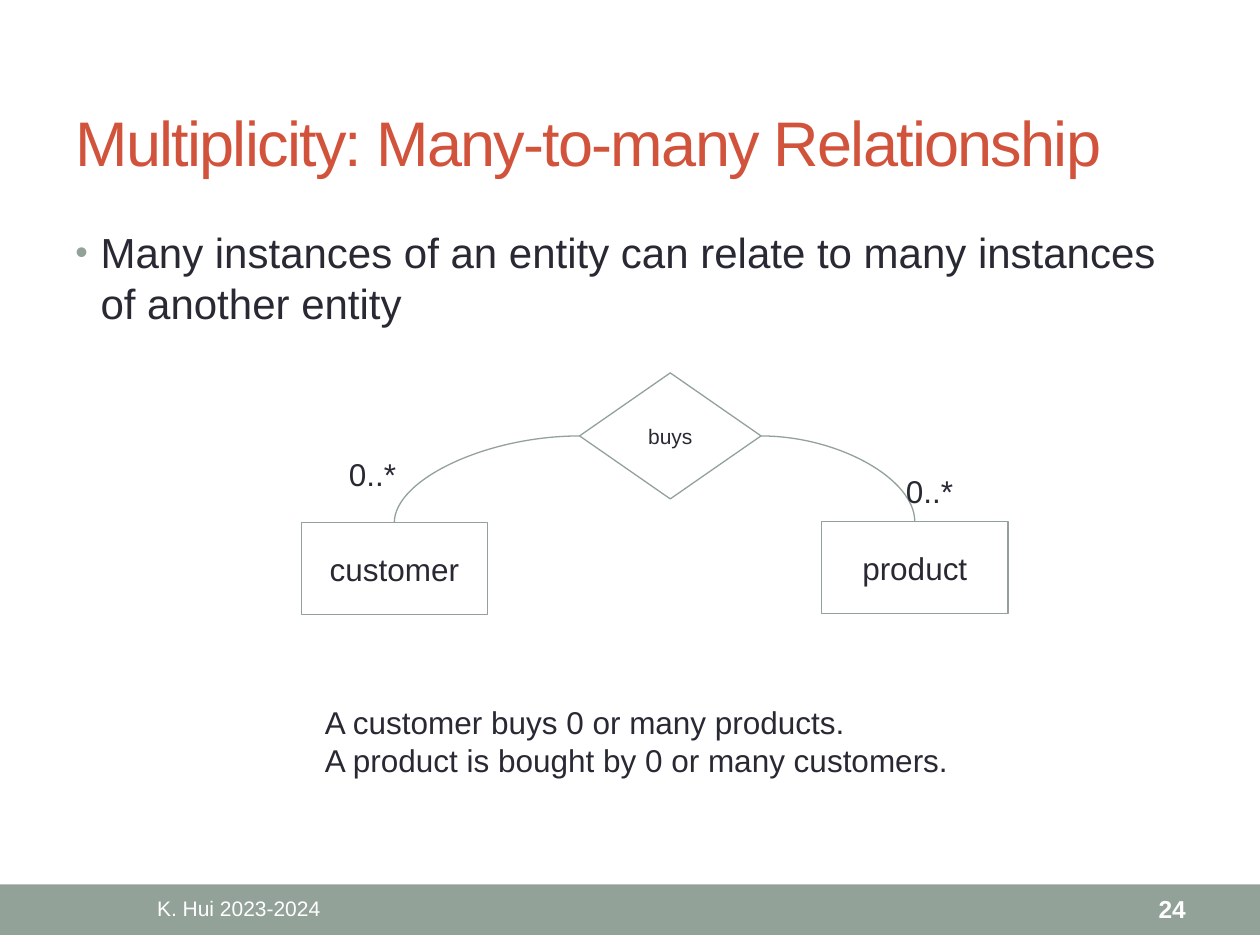
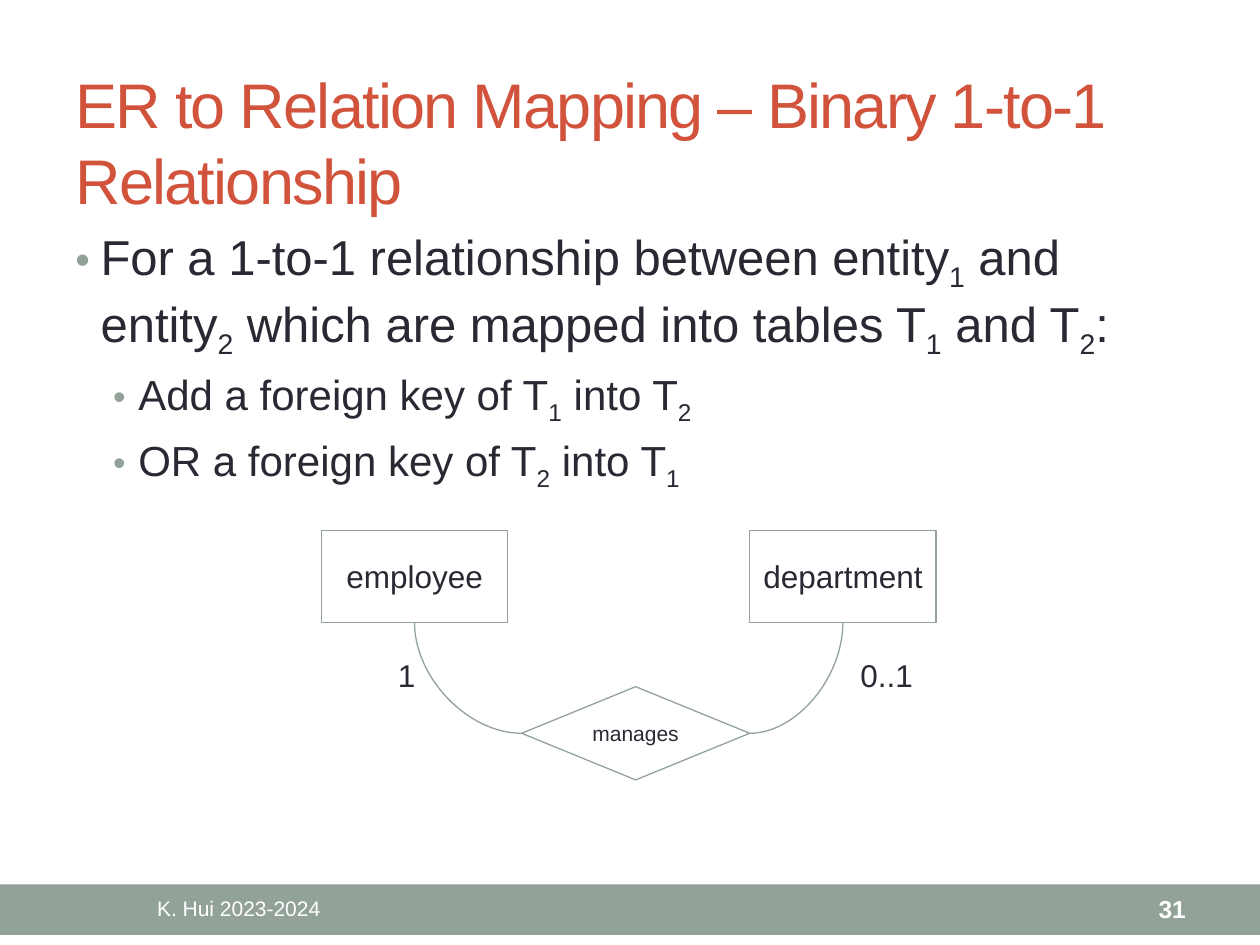
"""Two slides on entity-relationship diagrams."""
from dataclasses import dataclass

from lxml import etree
from pptx import Presentation
from pptx.dml.color import RGBColor
from pptx.enum.shapes import MSO_CONNECTOR, MSO_SHAPE
from pptx.enum.text import MSO_ANCHOR, PP_ALIGN
from pptx.oxml.ns import qn
from pptx.util import Inches, Pt

RECT, DIAMOND = MSO_SHAPE.RECTANGLE, MSO_SHAPE.DIAMOND
CURVE = MSO_CONNECTOR.CURVE
TOP, MIDDLE = MSO_ANCHOR.TOP, MSO_ANCHOR.MIDDLE
LEFT, CENTER, RIGHT = PP_ALIGN.LEFT, PP_ALIGN.CENTER, PP_ALIGN.RIGHT

SAGE = RGBColor(0x93, 0xA2, 0x99)
RUST = RGBColor(0xD2, 0x53, 0x3C)
INK = RGBColor(0x29, 0x29, 0x34)
WHITE = RGBColor(0xFF, 0xFF, 0xFF)

FONT = "Arial"
ENTITY_W, ENTITY_H = 1.48, 0.73
# Connection sites of rectangles and diamonds
SITE_TOP, SITE_LEFT, SITE_BOTTOM, SITE_RIGHT = range(4)


@dataclass(frozen=True)
class Bullet:
    """A body paragraph; "_" puts the next character in subscript."""
    text: str
    size: int
    level: int = 0


@dataclass(frozen=True)
class Entity:
    """An entity box, placed by its top left corner."""
    name: str
    x: float
    y: float


@dataclass(frozen=True)
class Relationship:
    """A relationship diamond between a left and a right entity."""
    name: str
    x: float
    y: float
    w: float
    h: float
    left: Entity
    right: Entity


@dataclass(frozen=True)
class Note:
    """Free text in the diagram."""
    lines: tuple[str, ...]
    x: float
    y: float
    w: float
    h: float = 0.4


@dataclass(frozen=True)
class Page:
    """The content of one slide."""
    number: int
    title: str
    body_h: float
    bullets: tuple[Bullet, ...]
    relationship: Relationship
    notes: tuple[Note, ...]


PAGES = (
    Page(
        24, "Multiplicity: Many-to-many Relationship", 0.96,
        (Bullet("Many instances of an entity can relate to many instances "
                "of another entity", 24),),
        Relationship("buys", 4.6, 2.96, 1.44, 1,
                     Entity("customer", 2.39, 4.15),
                     Entity("product", 6.52, 4.14)),
        (Note(("0..*",), 2.67, 3.56, 0.58),
         Note(("0..*",), 7.09, 3.7, 0.58),
         Note(("A customer buys 0 or many products.",
               "A product is bought by 0 or many customers."),
              2.48, 5.53, 5.19, 0.71)),
    ),
    Page(
        31, "ER to Relation Mapping – Binary 1-to-1 Relationship", 2.09,
        (Bullet("For a 1-to-1 relationship between entity_1 and entity_2 "
                "which are mapped into tables T_1 and T_2:", 28),
         Bullet("Add a foreign key of T_1 into T_2", 24, 1),
         Bullet("OR a foreign key of T_2 into T_1", 24, 1)),
        Relationship("manages", 4.14, 5.45, 1.81, 0.74,
                     Entity("employee", 2.55, 4.21),
                     Entity("department", 5.95, 4.21)),
        (Note(("1",), 3.06, 5.16, 0.34),
         Note(("0..1",), 6.73, 5.16, 0.62)),
    ),
)


def style(p, size, color=INK, align=LEFT, bold=False):
    """Set the font and alignment of a paragraph."""
    p.alignment = align
    p.font.name, p.font.size, p.font.bold = FONT, Pt(size), bold
    p.font.color.rgb = color


def add_text(s, box, lines, size, color=INK, align=LEFT, anchor=TOP,
             bold=False, wrap=True):
    """Add a text box with one paragraph per line and return its frame."""
    tf = s.shapes.add_textbox(*map(Inches, box)).text_frame
    tf.word_wrap, tf.vertical_anchor = wrap, anchor
    tf.text = "\n".join(lines)
    for p in tf.paragraphs:
        style(p, size, color, align, bold)
    return tf


def add_node(s, shape_type, box, name, size):
    """Add an outlined shape with a centred name."""
    sp = s.shapes.add_shape(shape_type, *map(Inches, box))
    sp.shadow.inherit = False
    sp.fill.background()
    sp.line.color.rgb, sp.line.width = SAGE, Pt(0.75)
    tf = sp.text_frame
    tf.word_wrap, tf.vertical_anchor = True, MIDDLE
    tf.text = name
    style(tf.paragraphs[0], size, align=CENTER)
    return sp


def add_curve(s, diamond, diamond_site, entity, entity_site):
    """Join a side of the diamond to an entity by a quarter curve."""
    line = s.shapes.add_connector(CURVE, 0, 0, 0, 0)
    line.begin_connect(diamond, diamond_site)
    line.end_connect(entity, entity_site)
    line.line.color.rgb, line.line.width = SAGE, Pt(0.75)
    sp_pr = line._element.spPr
    sp_pr.find(qn("a:prstGeom")).set("prst", "curvedConnector2")
    etree.SubElement(sp_pr, qn("a:effectLst"))


def add_relationship(s, rel: Relationship):
    """Draw both entities, the diamond and the curves between them."""
    entities = [add_node(s, RECT, (e.x, e.y, ENTITY_W, ENTITY_H), e.name, 18)
                for e in (rel.left, rel.right)]
    diamond = add_node(s, DIAMOND, (rel.x, rel.y, rel.w, rel.h), rel.name, 12)
    for entity, side in zip(entities, (SITE_LEFT, SITE_RIGHT)):
        facing = SITE_TOP if entity.top > diamond.top else SITE_BOTTOM
        add_curve(s, diamond, side, entity, facing)


def add_run(p, text, subscript=False):
    """Add a run, lowered when it is a subscript."""
    if text:
        r = p.add_run()
        r.text = text
        if subscript:
            r.font._element.set("baseline", "-25000")


def add_bullet(p, bullet: Bullet):
    """Fill a paragraph with a bullet point and its subscripts."""
    style(p, bullet.size)
    p.level = bullet.level
    p.space_before = Pt(0.2 * bullet.size)
    p_pr = p._p.get_or_add_pPr()
    p_pr.set("marL", str(Inches(0.2 + 0.3 * bullet.level)))
    p_pr.set("indent", str(Inches(-0.2)))
    marks = [etree.Element(qn("a:buClr")),
             etree.Element(qn("a:buSzPct"), val="85000"),
             etree.Element(qn("a:buFont"), typeface=FONT),
             etree.Element(qn("a:buChar"), char="•")]
    etree.SubElement(marks[0], qn("a:srgbClr"), val=str(SAGE))
    for mark in marks:
        p_pr.find(qn("a:defRPr")).addprevious(mark)
    first, *rest = bullet.text.split("_")
    add_run(p, first)
    for part in rest:
        add_run(p, part[0], subscript=True)
        add_run(p, part[1:])


def add_body(s, page: Page):
    """Add the bullet points below the title."""
    tf = s.shapes.add_textbox(*map(Inches, (0.5, 1.75, 9, page.body_h))).text_frame
    tf.word_wrap = True
    for i, bullet in enumerate(page.bullets):
        add_bullet(tf.add_paragraph() if i else tf.paragraphs[0], bullet)


def add_frame(s, page: Page):
    """Add what all slides share: band, title, footer and number."""
    band = s.shapes.add_shape(RECT, *map(Inches, (0, 7.02, 10, 0.4)))
    band.shadow.inherit = False
    band.fill.solid()
    band.fill.fore_color.rgb = SAGE
    band.line.fill.background()
    tf = add_text(s, (0.5, 0.58, 9, 1.08), [page.title], 36, RUST, anchor=MIDDLE)
    tf.paragraphs[0].runs[0].font._element.set("spc", "-100")
    add_text(s, (0.5, 7.03, 2.79, 0.36), ["K. Hui 2023-2024"], 12, WHITE,
             CENTER, MIDDLE)
    add_text(s, (8.34, 7.03, 1.17, 0.36), [str(page.number)], 14, WHITE,
             RIGHT, MIDDLE, bold=True)


def build_slide(prs, page: Page):
    """Add one slide on the blank layout."""
    s = prs.slides.add_slide(prs.slide_layouts[6])
    add_frame(s, page)
    add_body(s, page)
    add_relationship(s, page.relationship)
    for note in page.notes:
        add_text(s, (note.x, note.y, note.w, note.h), note.lines, 18, wrap=False)


def main():
    """Build and save the presentation."""
    prs = Presentation()
    prs.slide_width, prs.slide_height = Inches(10), Inches(7.5)
    for page in PAGES:
        build_slide(prs, page)
    prs.save("out.pptx")


main()
